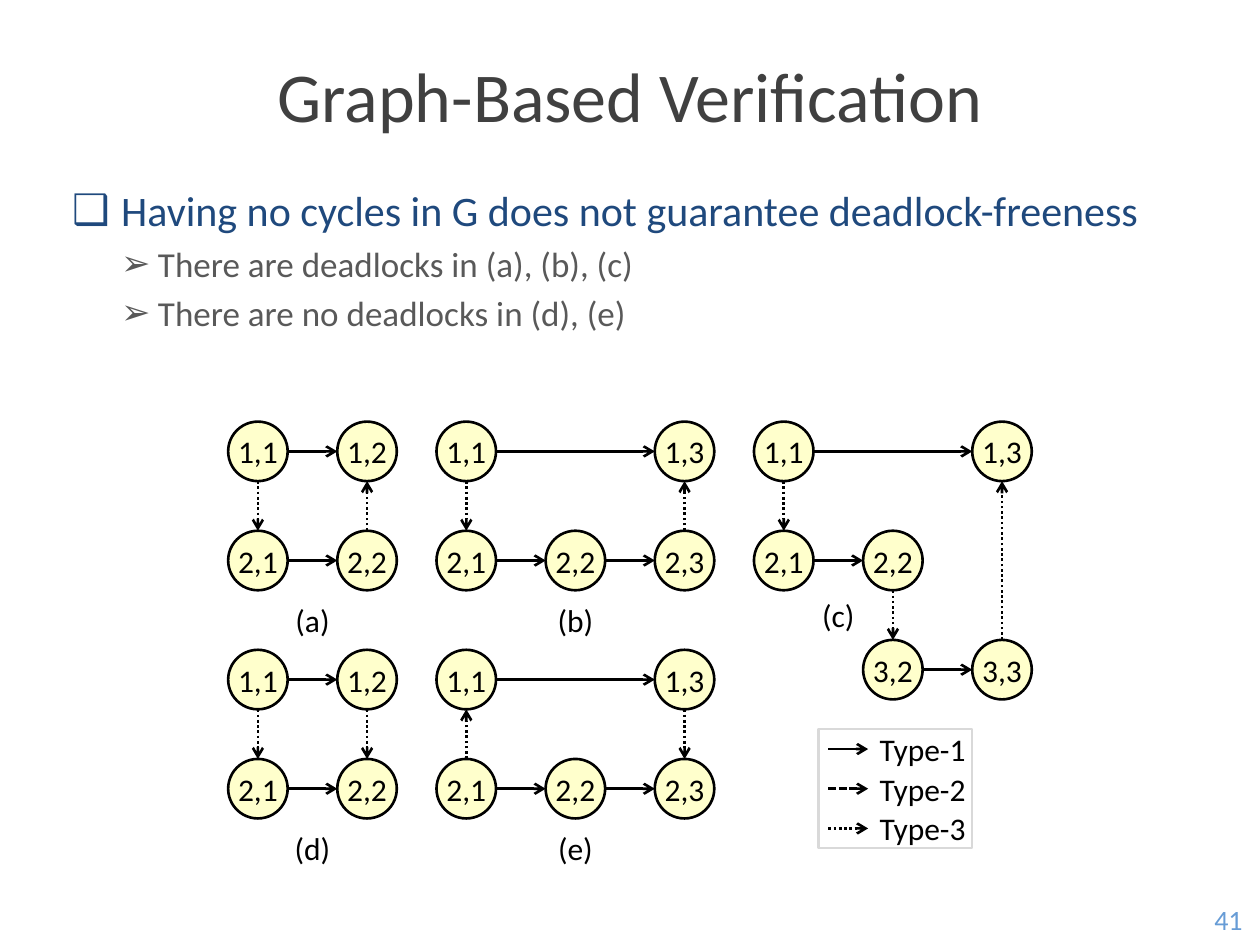
from lxml.etree import SubElement
from pptx import Presentation
from pptx.dml.color import RGBColor
from pptx.enum.dml import MSO_LINE
from pptx.enum.shapes import MSO_CONNECTOR, MSO_SHAPE
from pptx.enum.text import MSO_ANCHOR as Anchor, PP_ALIGN as Align
from pptx.oxml.ns import qn
from pptx.util import Cm, Pt

FONT = "Calibri"
BLACK = "000000"
NODE_SIZE = 1.2
NODE_STEP = 2.2
RADIUS = NODE_SIZE / 2
LABEL_HEIGHT = 0.6

GRAPHS = [
    ("(a)", 4.6, 8.5, (1.3, 3.7), "1,1>1,2 2,1>2,2 1,1>2,1 2,2>1,2"),
    ("(d)", 4.6, 13.1, (1.3, 3.7), "1,1>1,2 2,1>2,2 1,1>2,1 1,2>2,2"),
    ("(b)", 8.8, 8.5, (2.4, 3.7), "1,1>1,3 2,1>2,2 2,2>2,3 1,1>2,1 2,3>1,3"),
    ("(e)", 8.8, 13.1, (2.4, 3.7), "1,1>1,3 2,1>2,2 2,2>2,3 2,1>1,1 1,3>2,3"),
    ("(c)", 15.2, 8.5, (1.3, 3.6), "1,1>1,3 2,1>2,2 3,2>3,3 1,1>2,1 2,2>3,2 3,3>1,3"),
]
LEGEND = [("Type-1", MSO_LINE.SOLID), ("Type-2", MSO_LINE.SQUARE_DOT), ("Type-3", MSO_LINE.ROUND_DOT)]


def rgb(value):
    return RGBColor.from_string(value)


def write(paragraph, text, size=18, color=BLACK, align=Align.CENTER):
    paragraph.text = text
    paragraph.alignment = align
    font = paragraph.font
    font.name, font.size, font.color.rgb = FONT, Pt(size), rgb(color)


def fill_text(shape, text, inset=0, **style):
    frame = shape.text_frame
    frame.word_wrap = False
    frame.vertical_anchor = Anchor.MIDDLE
    frame.margin_left = frame.margin_right = Cm(inset)
    frame.margin_top = frame.margin_bottom = Cm(inset / 2)
    write(frame.paragraphs[0], text, **style)


def add_label(shapes, text, left, top, width, height=LABEL_HEIGHT, **style):
    label = shapes.add_textbox(Cm(left), Cm(top), Cm(width), Cm(height))
    fill_text(label, text, **style)


def add_outlined(shapes, kind, left, top, width, height, line_color, fill_color=None):
    shape = shapes.add_shape(kind, Cm(left), Cm(top), Cm(width), Cm(height))
    shape.shadow.inherit = False
    shape.line.color.rgb, shape.line.width = rgb(line_color), Pt(1.5)
    if fill_color:
        shape.fill.solid()
        shape.fill.fore_color.rgb = rgb(fill_color)
    else:
        shape.fill.background()
    return shape


def add_arrow(shapes, start, end, dash):
    ends = [Cm(value) for value in (*start, *end)]
    arrow = shapes.add_connector(MSO_CONNECTOR.STRAIGHT, *ends)
    arrow.line.color.rgb, arrow.line.width = rgb(BLACK), Pt(1.5)
    arrow.line.dash_style = dash
    properties = arrow._element.spPr
    SubElement(properties.find(qn("a:ln")), qn("a:tailEnd"), type="arrow")
    SubElement(properties, qn("a:effectLst"))


def add_title(slide, text, left, top, width, height):
    title = slide.shapes.title
    title.left, title.top, title.width, title.height = Cm(left), Cm(top), Cm(width), Cm(height)
    title.text_frame.vertical_anchor = Anchor.MIDDLE
    write(title.text_frame.paragraphs[0], text, size=40, color="404040")


def add_bullet(paragraph, text, bullet, margin, hanging, level=0, **style):
    paragraph.level = level
    properties = paragraph._p.get_or_add_pPr()
    properties.set("marL", str(Cm(margin)))
    properties.set("indent", str(-Cm(hanging)))
    SubElement(properties, qn("a:buChar"), char=bullet)
    write(paragraph, text, align=Align.LEFT, **style)


def add_body(slide, heading, points, left, top, width, height):
    body = slide.placeholders[1]
    body.left, body.top, body.width, body.height = Cm(left), Cm(top), Cm(width), Cm(height)
    frame = body.text_frame
    frame.paragraphs[0].space_before = Pt(0)
    add_bullet(frame.paragraphs[0], heading, "❑", 0.99, 0.99, size=24, color="1F497D")
    for point in points:
        add_bullet(frame.add_paragraph(), point, "➢", 1.73, 0.74, level=1, size=20, color="595959")


def add_graph(slide, caption, left, top, caption_offset, edge_text):
    shapes = slide.shapes.add_group_shape().shapes
    edges = [edge.split(">") for edge in edge_text.split()]

    def center(name):
        row, column = (int(part) - 1 for part in name.split(","))
        return left + column * NODE_STEP + RADIUS, top + row * NODE_STEP + RADIUS

    for name in sorted({name for edge in edges for name in edge}):
        x, y = center(name)
        node = add_outlined(shapes, MSO_SHAPE.OVAL, x - RADIUS, y - RADIUS,
                            NODE_SIZE, NODE_SIZE, BLACK, "FFFFCC")
        fill_text(node, name)
    for source, target in edges:
        (x1, y1), (x2, y2) = center(source), center(target)
        if y1 == y2:
            add_arrow(shapes, (x1 + RADIUS, y1), (x2 - RADIUS, y2), MSO_LINE.SOLID)
        else:
            gap = RADIUS if y2 > y1 else -RADIUS
            add_arrow(shapes, (x1, y1 + gap), (x2, y2 - gap), MSO_LINE.ROUND_DOT)
    add_label(shapes, caption, left + caption_offset[0], top + caption_offset[1], 0.8)


def add_legend(slide, entries, left, top, width, height):
    shapes = slide.shapes.add_group_shape().shapes
    add_outlined(shapes, MSO_SHAPE.RECTANGLE, left, top, width, height, "D9D9D9")
    row_height = height / len(entries)
    for index, (text, dash) in enumerate(entries):
        middle = top + (index + 0.5) * row_height
        add_arrow(shapes, (left + 0.2, middle), (left + 1, middle), dash)
        add_label(shapes, text, left + 1.2, middle - LABEL_HEIGHT / 2, 1.8)


def main():
    presentation = Presentation()
    presentation.slide_width, presentation.slide_height = Cm(25.4), Cm(19.05)
    slide = presentation.slides.add_slide(presentation.slide_layouts[1])
    add_title(slide, "Graph-Based Verification", 1.2, 0.7, 23, 2.4)
    add_body(slide, "Having no cycles in G does not guarantee deadlock-freeness",
             ["There are deadlocks in (a), (b), (c)", "There are no deadlocks in (d), (e)"],
             1.2, 3.6, 23, 14.4)
    add_label(slide.shapes, "41", 24.13, 18.03, 1.27, 1.02, inset=0.25, size=16, color="679CD6")
    add_legend(slide, LEGEND, 16.5, 14.7, 3.1, 2.4)
    for graph in GRAPHS:
        add_graph(slide, *graph)
    presentation.save("out.pptx")


if __name__ == "__main__":
    main()
